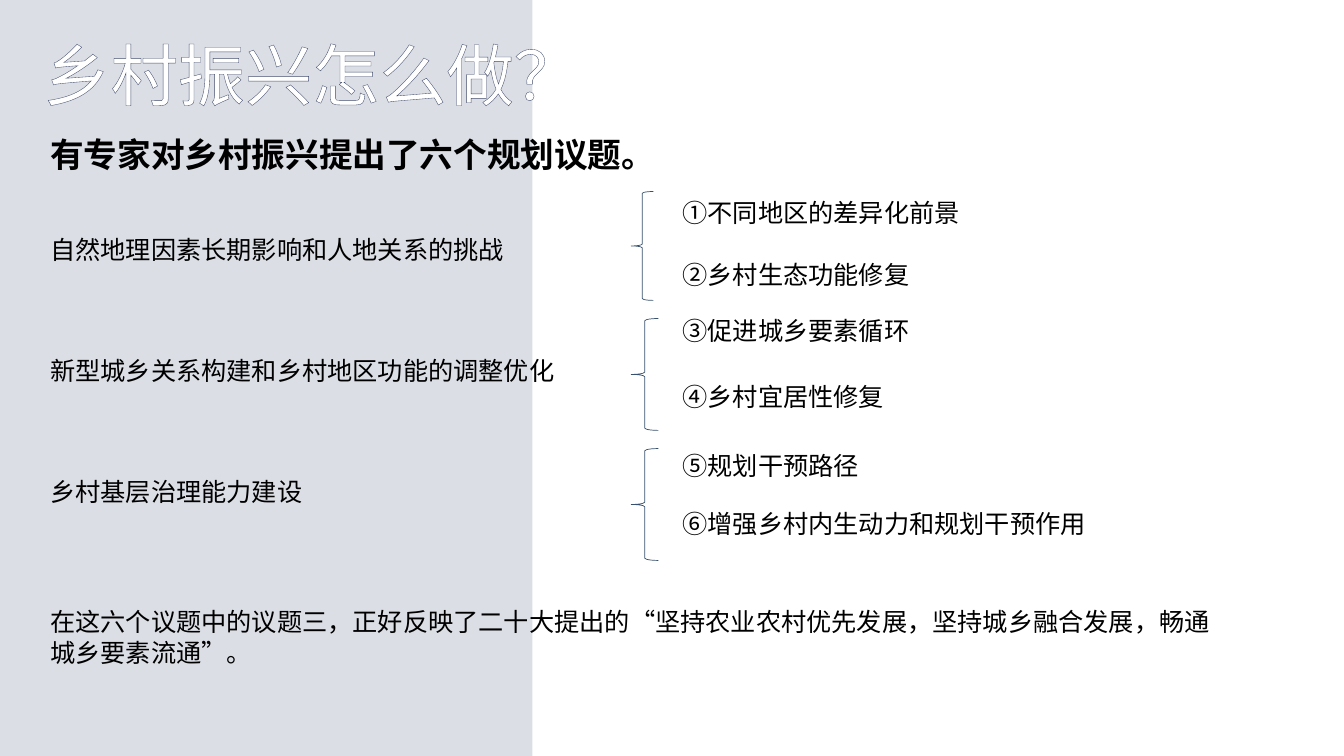
"""Build the slide on six planning topics for rural revitalisation."""
from dataclasses import dataclass

import pptx
import pptx.dml.color
import pptx.enum.shapes
import pptx.enum.text
import pptx.oxml
import pptx.oxml.ns
import pptx.shapes.autoshape
import pptx.slide
import pptx.text.text
import pptx.util
from pptx.util import Inches

CJK_FONT = "Noto Sans CJK SC"
LEFT_MARGIN = 0.4
TOPIC_LEFT = 6.67
BRACE_LEFT = 6.26
LINE_HEIGHT = 0.4


@dataclass(frozen=True)
class Box:
    left: float
    top: float
    width: float
    height: float


@dataclass(frozen=True)
class Topic:
    text: str
    top: float
    width: float = 6.67


@dataclass(frozen=True)
class Theme:
    text: str
    top: float
    width: float
    brace: Box
    topics: tuple[Topic, ...]


THEMES = (
    Theme("自然地理因素长期影响和人地关系的挑战", 2.28, 5.01,
          Box(BRACE_LEFT, 1.9, 0.22, 1.08),
          (Topic("①不同地区的差异化前景", 1.91), Topic("②乡村生态功能修复", 2.52, 3))),
    Theme("新型城乡关系构建和乡村地区功能的调整优化", 3.48, 5.27,
          Box(BRACE_LEFT, 3.16, 0.27, 1.11),
          (Topic("③促进城乡要素循环", 3.08), Topic("④乡村宜居性修复", 3.73))),
    Theme("乡村基层治理能力建设", 4.68, 3.21,
          Box(BRACE_LEFT, 4.45, 0.27, 1.11),
          (Topic("⑤规划干预路径", 4.42), Topic("⑥增强乡村内生动力和规划干预作用", 4.99))),
)
CLOSING = ("在这六个议题中的议题三，正好反映了二十大提出的“坚持农业农村优先发展，"
           "坚持城乡融合发展，畅通城乡要素流通”。")


def color(value: str) -> pptx.dml.color.RGBColor:
    return pptx.dml.color.RGBColor.from_string(value)


def lengths(box: Box) -> tuple[pptx.util.Length, ...]:
    return Inches(box.left), Inches(box.top), Inches(box.width), Inches(box.height)


def write(frame: pptx.text.text.TextFrame, text: str, size: float, bold: bool = False,
          text_color: str = "000000", font_name: str = CJK_FONT) -> pptx.text.text.Font:
    frame_format = {
        "word_wrap": True,
        "auto_size": pptx.enum.text.MSO_AUTO_SIZE.SHAPE_TO_FIT_TEXT,
        "vertical_anchor": pptx.enum.text.MSO_ANCHOR.TOP,
    }
    for name, value in frame_format.items():
        setattr(frame, name, value)
    paragraph = frame.paragraphs[0]
    paragraph.alignment = pptx.enum.text.PP_ALIGN.LEFT
    run = paragraph.add_run()
    run.text = text
    font_format = {
        "name": font_name,
        "size": pptx.util.Pt(size),
        "bold": bold,
        "language_id": pptx.enum.lang.MSO_LANGUAGE_ID.SIMPLIFIED_CHINESE,
    }
    for name, value in font_format.items():
        setattr(run.font, name, value)
    run.font.color.rgb = color(text_color)
    properties = run._r.get_or_add_rPr()
    latin = properties.find(pptx.oxml.ns.qn("a:latin"))
    latin.addnext(pptx.oxml.parse_xml(
        f'<a:ea {pptx.oxml.ns.nsdecls("a")} typeface="{CJK_FONT}"/>'))
    return run.font


def add_text(slide: pptx.slide.Slide, box: Box, text: str, size: float = 18,
             bold: bool = False, font_name: str = CJK_FONT) -> None:
    shape = slide.shapes.add_textbox(*lengths(box))
    write(shape.text_frame, text, size, bold, font_name=font_name)


def add_title(slide: pptx.slide.Slide, box: Box, text: str) -> None:
    title = slide.shapes.title
    for name, value in zip(("left", "top", "width", "height"), lengths(box)):
        setattr(title, name, value)
    font = write(title.text_frame, text, 48, text_color="FFFFFF")
    outline = pptx.oxml.parse_xml(
        f'<a:ln {pptx.oxml.ns.nsdecls("a")} w="{pptx.util.Pt(0.52)}">'
        '<a:solidFill><a:srgbClr val="434D6C"/></a:solidFill></a:ln>')
    font._rPr.insert(0, outline)


def add_panel(slide: pptx.slide.Slide, box: Box) -> None:
    panel = slide.shapes.add_shape(
        pptx.enum.shapes.MSO_SHAPE.RECTANGLE, *lengths(box))
    panel.shadow.inherit = False
    panel.fill.solid()
    panel.fill.fore_color.rgb = color("DBDEE5")
    panel.line.fill.background()
    slide.shapes.title.element.addprevious(panel.element)


def add_brace(slide: pptx.slide.Slide, box: Box) -> None:
    brace = slide.shapes.add_shape(
        pptx.enum.shapes.MSO_SHAPE.LEFT_BRACE, *lengths(box))
    brace.shadow.inherit = False
    brace.fill.background()
    brace.line.color.rgb = color("37506D")
    brace.line.width = pptx.util.Pt(0.5)


def add_theme(slide: pptx.slide.Slide, theme: Theme) -> None:
    add_text(slide, Box(LEFT_MARGIN, theme.top, theme.width, LINE_HEIGHT), theme.text)
    add_brace(slide, theme.brace)
    for topic in theme.topics:
        add_text(slide, Box(TOPIC_LEFT, topic.top, topic.width, LINE_HEIGHT), topic.text)


def main() -> None:
    presentation = pptx.Presentation()
    presentation.slide_width = Inches(13.33)
    presentation.slide_height = Inches(7.5)
    slide = presentation.slides.add_slide(
        presentation.slide_layouts.get_by_name("Title Only"))
    add_panel(slide, Box(0, 0, 5.28, 7.5))
    add_title(slide, Box(0.33, 0.28, 7.88, 0.91), "乡村振兴怎么做？")
    add_text(slide, Box(LEFT_MARGIN, 1.28, 11.71, 0.91),
             "有专家对乡村振兴提出了六个规划议题。", 24, True)
    for theme in THEMES:
        add_theme(slide, theme)
    add_text(slide, Box(LEFT_MARGIN, 5.97, 11.85, 0.71), CLOSING, font_name="Arial")
    presentation.save("out.pptx")


if __name__ == "__main__":
    main()
